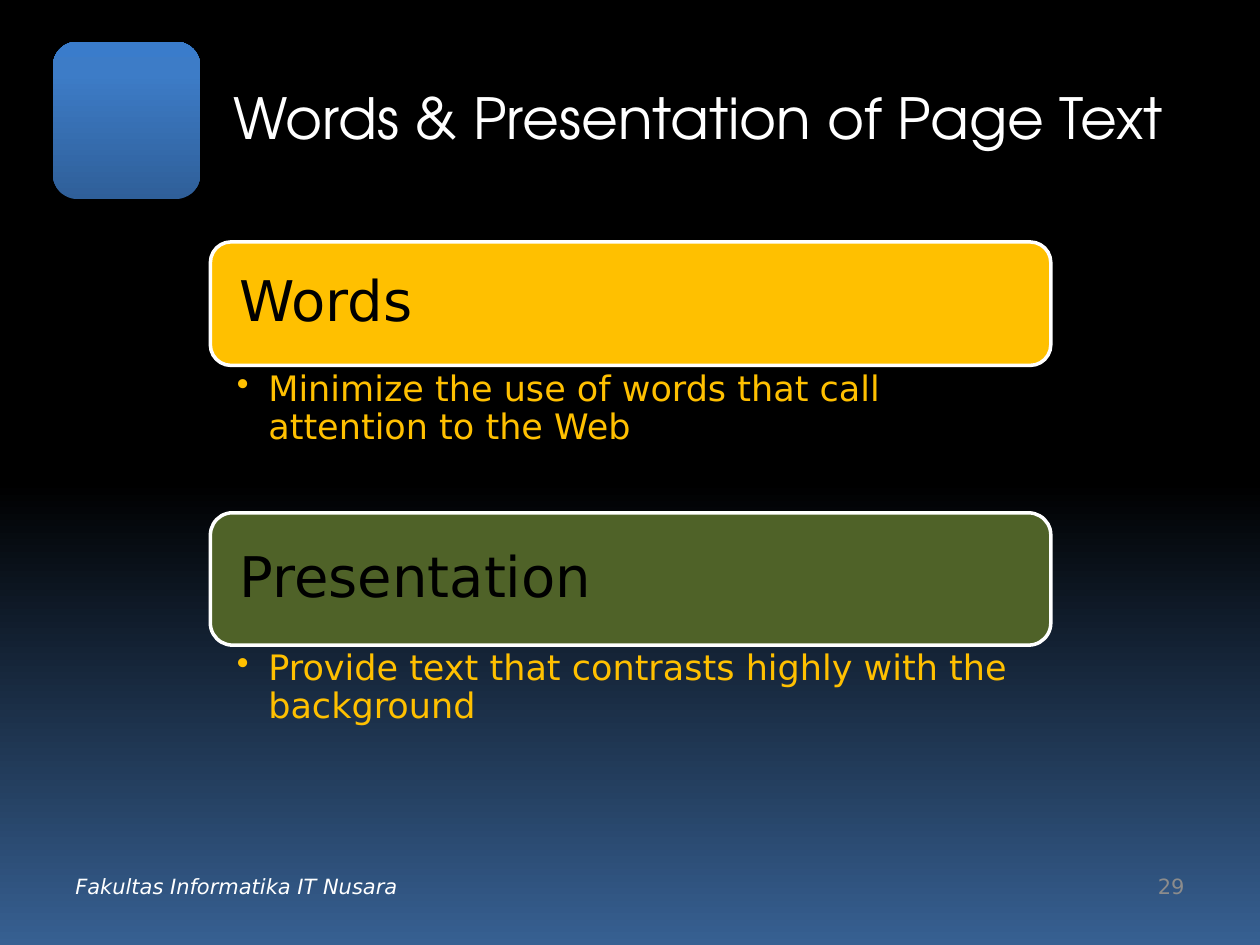
import lxml.etree
import pptx
import pptx.dml.color
import pptx.enum.shapes
import pptx.enum.text
import pptx.oxml
import pptx.oxml.ns
import pptx.util
from pptx.util import Inches

BODY_FONT = "DejaVu Sans"
TITLE_FONT = "TeX Gyre Adventor"
WHITE, BLACK, GOLD, OLIVE, GRAY = "FFFFFF", "000000", "FFC000", "4F6228", "8C8C8C"
MIDDLE = pptx.enum.text.MSO_ANCHOR.MIDDLE
LEFT = pptx.enum.text.PP_ALIGN.LEFT
RIGHT = pptx.enum.text.PP_ALIGN.RIGHT
SECTION_LEFT, SECTION_WIDTH = 1.67, 6.67

# top and height of the heading, top of the bullet, fill, heading, bullet
SECTIONS = [
    (1.92, 0.98, 2.92, GOLD, "Words",
     "Minimize the use of words that call attention to the Web"),
    (4.07, 1.05, 5.13, OLIVE, "Presentation",
     "Provide text that contrasts highly with the background"),
]


def color(value):
    return pptx.dml.color.RGBColor.from_string(value)


def add_node(parent, tag, **attributes):
    node = lxml.etree.SubElement(parent, pptx.oxml.ns.qn(tag))
    for name, value in attributes.items():
        node.set(name, str(value))
    return node


def set_gradient(fill, element, stops, angle):
    """Fill with (percent, colour) stops; the angle runs counter-clockwise."""
    fill.gradient()
    fill.gradient_angle = angle
    stop_list = element.xpath(".//a:gsLst")[0]
    for old_stop in list(stop_list):
        stop_list.remove(old_stop)
    for percent, value in stops:
        stop = add_node(stop_list, "a:gs", pos=percent * 1000)
        add_node(stop, "a:srgbClr", val=value)


def write(shape, text, size, value, font=BODY_FONT, align=LEFT, anchor=MIDDLE,
          insets=(0.1, 0.05, 0.1, 0.05)):
    frame = shape.text_frame
    frame.word_wrap = True
    frame.auto_size = pptx.enum.text.MSO_AUTO_SIZE.NONE
    frame.vertical_anchor = anchor
    (frame.margin_left, frame.margin_top,
     frame.margin_right, frame.margin_bottom) = map(Inches, insets)
    para = frame.paragraphs[0]
    para.text = text
    para.alignment = align
    para.font.name = font
    para.font.size = pptx.util.Pt(size)
    para.font.color.rgb = color(value)
    return para


def add_text(slide, at, *content, **style):
    box = slide.shapes.add_textbox(*map(Inches, at))
    return write(box, *content, **style)


def add_rounded(slide, at):
    shape = slide.shapes.add_shape(
        pptx.enum.shapes.MSO_SHAPE.ROUNDED_RECTANGLE, *map(Inches, at))
    shape.shadow.inherit = False
    return shape


def add_corner_tile(slide):
    tile = add_rounded(slide, (0.42, 0.33, 1.17, 1.25))
    tile.line.fill.background()
    properties = tile._element.spPr
    set_gradient(tile.fill, properties,
                 [(0, "2F5F99"), (80, "3D7CC7"), (100, "3A7CCB")], 90)
    effects = properties.find(pptx.oxml.ns.qn("a:effectLst"))
    shadow = add_node(effects, "a:outerShdw", blurRad=pptx.util.Pt(3.1),
                      dist=pptx.util.Pt(1.8), dir=90 * 60000, rotWithShape=0)
    shade = add_node(shadow, "a:srgbClr", val=BLACK)
    add_node(shade, "a:alpha", val=35000)


def add_title(slide, text):
    title = slide.shapes.title
    title.left, title.top, title.width, title.height = map(
        Inches, (1.75, 0.3, 7.75, 1.25))
    write(title, text, 32.4, WHITE, font=TITLE_FONT)


def add_section(slide, top, height, bullet_top, fill, heading, bullet):
    bar = add_rounded(slide, (SECTION_LEFT, top, SECTION_WIDTH, height))
    bar.fill.solid()
    bar.fill.fore_color.rgb = color(fill)
    bar.line.color.rgb = color(WHITE)
    bar.line.width = pptx.util.Pt(2)
    para = write(bar, heading, 32, BLACK, insets=(0.18, 0.13, 0.18, 0.13))
    para.line_spacing = 0.9

    para = add_text(slide, (SECTION_LEFT, bullet_top, SECTION_WIDTH, 1.18),
                    bullet, 20, GOLD, anchor=pptx.enum.text.MSO_ANCHOR.TOP,
                    insets=(0.21, 0.03, 0.16, 0.03))
    para.level = 1
    para.line_spacing = 0.9
    para.space_after = pptx.util.Pt(4)
    properties = para._p.get_or_add_pPr()
    properties.set("marL", str(Inches(0.25)))
    properties.set("indent", str(Inches(-0.25)))
    mark = pptx.oxml.parse_xml(
        f'<a:buChar {pptx.oxml.ns.nsdecls("a")} char="•"/>')
    properties.find(pptx.oxml.ns.qn("a:spcAft")).addnext(mark)


def main():
    deck = pptx.Presentation()
    deck.slide_width, deck.slide_height = Inches(10), Inches(7.5)
    slide = deck.slides.add_slide(deck.slide_layouts[5])
    set_gradient(slide.background.fill, slide._element,
                 [(51, BLACK), (100, "376092")], 270)

    add_corner_tile(slide)
    add_title(slide, "Words & Presentation of Page Text")
    footer = add_text(slide, (0.5, 6.83, 3.17, 0.4),
                      "Fakultas Informatika IT Nusara", 12, WHITE)
    footer.font.italic = True
    add_text(slide, (7.17, 6.83, 2.33, 0.4), "29", 12, GRAY, align=RIGHT)
    for section in SECTIONS:
        add_section(slide, *section)
    deck.save("out.pptx")


if __name__ == "__main__":
    main()
